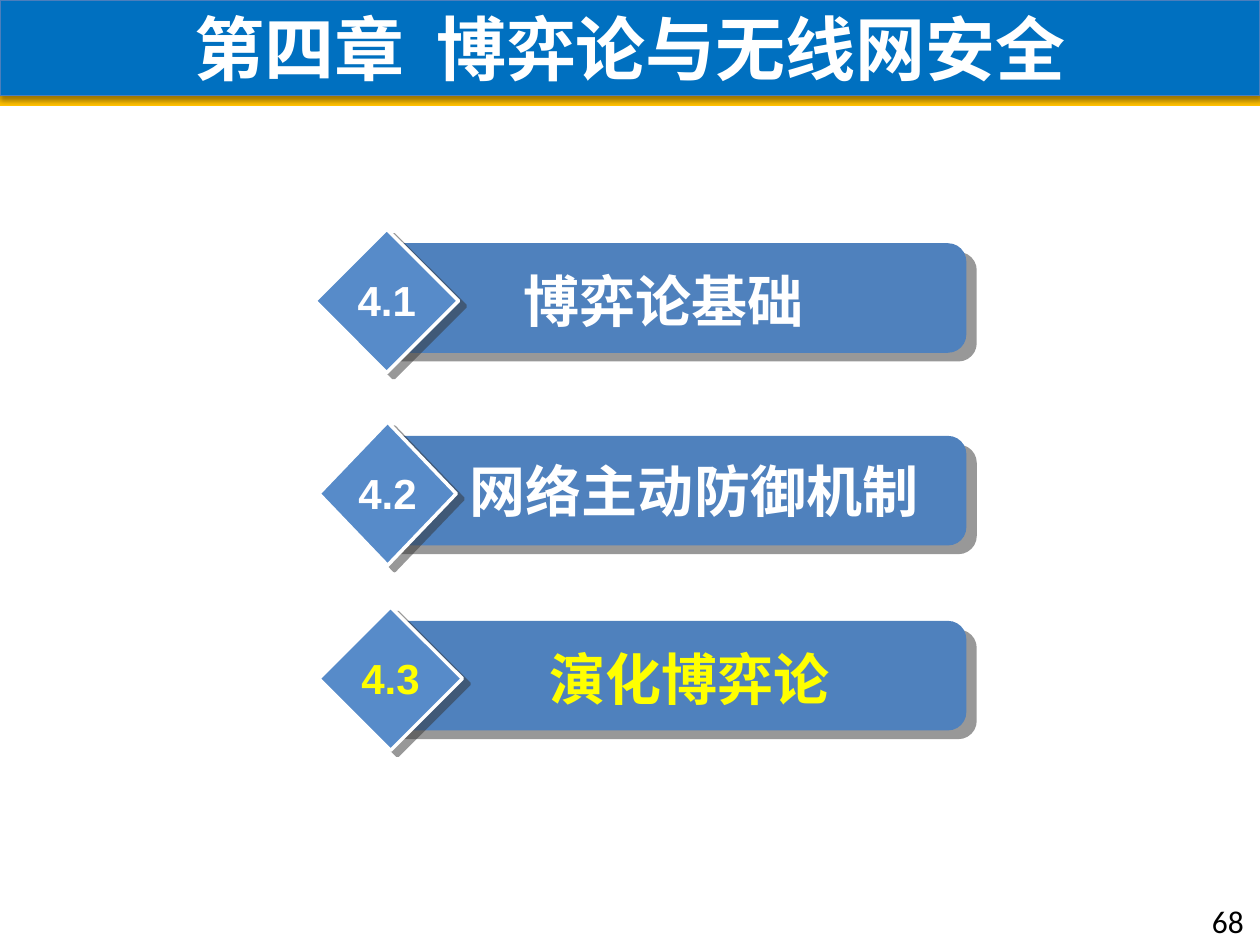
"""Build the chapter four agenda slide with its three numbered sections."""
from lxml import etree
from pptx import Presentation
from pptx.dml.color import RGBColor
from pptx.enum.shapes import MSO_SHAPE
from pptx.enum.text import MSO_ANCHOR, MSO_AUTO_SIZE, PP_ALIGN
from pptx.oxml.ns import qn
from pptx.util import Pt

RECTANGLE, ROUNDED, DIAMOND = MSO_SHAPE.RECTANGLE, MSO_SHAPE.ROUNDED_RECTANGLE, MSO_SHAPE.DIAMOND
MIDDLE, NO_FIT, GROW = MSO_ANCHOR.MIDDLE, MSO_AUTO_SIZE.NONE, MSO_AUTO_SIZE.SHAPE_TO_FIT_TEXT
CENTER, LEFT = PP_ALIGN.CENTER, PP_ALIGN.LEFT

COLORS = {
    "header": "0070C0", "header_edge": "4B7EBC", "stripe": "FFC000",
    "bar": "4F81BD", "diamond": "578BC9", "shade": "333333",
    "white": "FFFFFF", "current": "FFFF00", "black": "000000",
}
HEADING = {"name": "Noto Sans CJK SC", "size": Pt(40), "bold": True}
LABEL = {"name": "Arial", "size": Pt(32), "bold": True}
NUMBER = {"name": "Arial", "size": Pt(24), "bold": True}
PAGE = {"name": "Calibri", "size": Pt(18), "bold": False}


def paint(shape, fill, edge=None, edge_width=0, shadow=None):
    shape.fill.solid()
    shape.fill.fore_color.rgb = RGBColor.from_string(COLORS[fill])
    if edge:
        shape.line.color.rgb = RGBColor.from_string(COLORS[edge])
        shape.line.width = Pt(edge_width)
    else:
        shape.line.fill.background()
    shape.shadow.inherit = False
    if shadow:
        color, opacity, blur, distance, angle = shadow
        effects = shape.element.spPr.find(qn("a:effectLst"))
        outer = etree.SubElement(
            effects, qn("a:outerShdw"), blurRad=str(Pt(blur)), dist=str(Pt(distance)),
            dir=str(angle * 60000), algn="ctr", rotWithShape="0")
        tint = etree.SubElement(outer, qn("a:srgbClr"), val=COLORS[color])
        etree.SubElement(tint, qn("a:alpha"), val=str(opacity * 1000))


def write(shape, text, font_format, color, align=CENTER, **frame_format):
    frame = shape.text_frame
    for attribute, value in frame_format.items():
        setattr(frame, attribute, value)
    paragraph = frame.paragraphs[0]
    paragraph.alignment = align
    run = paragraph.add_run()
    run.text = text
    for attribute, value in font_format.items():
        setattr(run.font, attribute, value)
    run.font.color.rgb = RGBColor.from_string(COLORS[color])
    if font_format is HEADING:
        etree.SubElement(run.font._element, qn("a:ea"), typeface=font_format["name"])


deck = Presentation()
deck.slide_width, deck.slide_height = Pt(720), Pt(540)
slide = deck.slides.add_slide(deck.slide_layouts[5])

heading = slide.shapes.title
heading_box = {"left": 0, "top": 0, "width": Pt(720), "height": Pt(54.7)}
for side, length in heading_box.items():
    setattr(heading, side, length)
paint(heading, "header", "header_edge", 0.75, ("black", 38, 3.1, 1.6, 90))
write(heading, "第四章  博弈论与无线网安全", HEADING, "white",
      vertical_anchor=MIDDLE, auto_size=NO_FIT, word_wrap=True)

stripe = slide.shapes.add_shape(RECTANGLE, 0, Pt(54.7), Pt(720), Pt(5.8))
paint(stripe, "stripe")
heading.element.addprevious(stripe.element)

BAR_RIGHT, BAR_HEIGHT, DIAMOND_HEIGHT = 552.2, 62.6, 82
sections = [
    ("4.1", "博弈论基础", "white", 139, 210.2, 180, 82, 244, 270, 10),
    ("4.2", "网络主动防御机制", "white", 249.1, 211, 182.2, 78.5, 258.5, 276.5, 8),
    ("4.3", "演化博弈论", "current", 354.8, 212.4, 182.2, 82, 247, 294.5, 10),
]
for (number, label, color, top, bar_left, diamond_left, diamond_width,
     label_left, label_width, label_drop) in sections:
    section = slide.shapes.add_group_shape().shapes

    bar = section.add_shape(ROUNDED, Pt(bar_left), Pt(top), Pt(BAR_RIGHT - bar_left), Pt(BAR_HEIGHT))
    bar.adjustments[0] = 0.167
    paint(bar, "bar", shadow=("shade", 50, 0, 7.8, 40))

    diamond = section.add_shape(
        DIAMOND, Pt(diamond_left), Pt(top - 8), Pt(diamond_width), Pt(DIAMOND_HEIGHT))
    paint(diamond, "diamond", "white", 2, ("shade", 50, 0, 5, 37))

    label_box = section.add_textbox(Pt(label_left), Pt(top + label_drop), Pt(label_width), Pt(46))
    write(label_box, label, LABEL, color, word_wrap=True, auto_size=GROW)

    number_left = diamond_left + diamond_width / 2 - 24
    number_box = section.add_textbox(Pt(number_left), Pt(top + 14.4), Pt(48), Pt(36))
    write(number_box, number, NUMBER, color, word_wrap=False, auto_size=GROW)

page_number = slide.shapes.add_textbox(Pt(685.4), Pt(511.9), Pt(34), Pt(28))
write(page_number, "68", PAGE, "black", LEFT, word_wrap=True)

deck.save("out.pptx")
